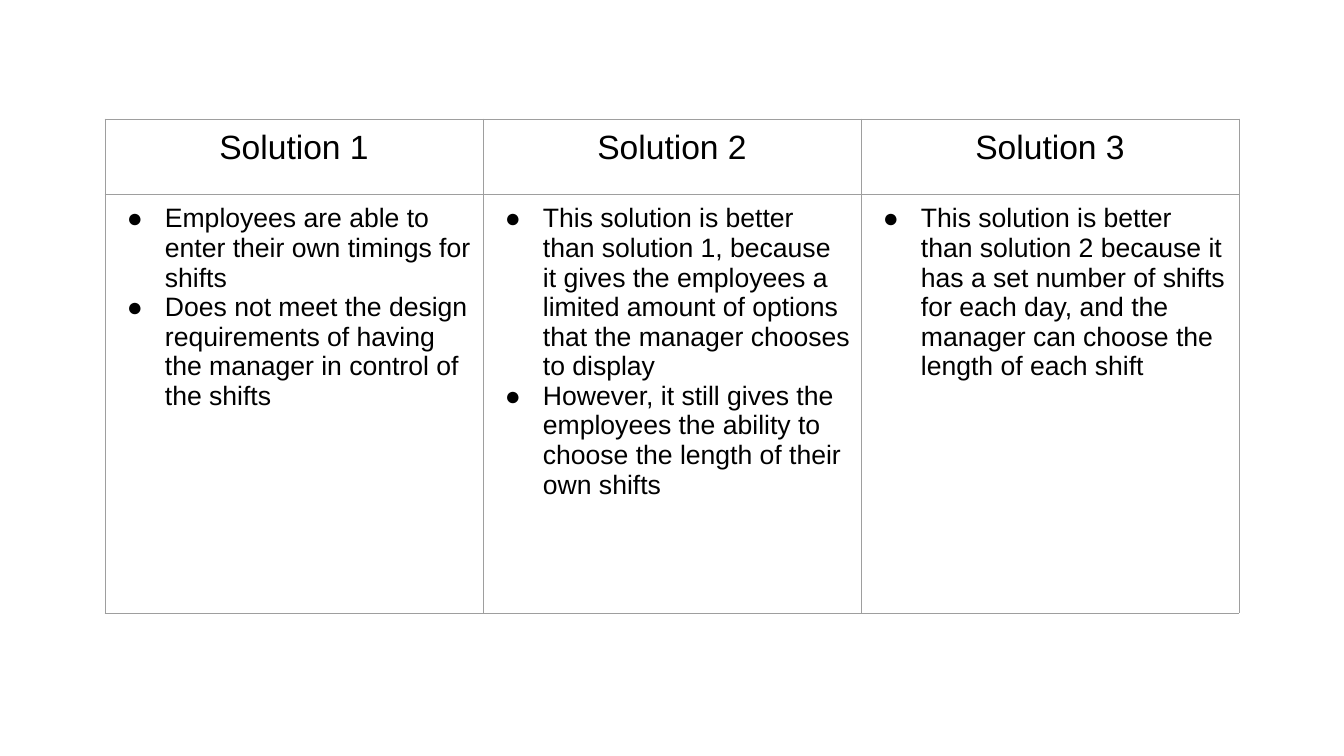
from lxml.etree import SubElement
from pptx import Presentation
from pptx.dml.color import RGBColor
from pptx.enum.shapes import MSO_SHAPE
from pptx.enum.text import PP_ALIGN
from pptx.oxml.ns import qn
from pptx.util import Pt

# Content: heading and bullets of each column
SOLUTIONS = [
    ("Solution 1", [
        "Employees are able to enter their own timings for shifts",
        "Does not meet the design requirements of having the manager in control of the shifts",
    ]),
    ("Solution 2", [
        "This solution is better than solution 1, because it gives the employees a limited "
        "amount of options that the manager chooses to display",
        "However, it still gives the employees the ability to choose the length of their own shifts",
    ]),
    ("Solution 3", [
        "This solution is better than solution 2 because it has a set number of shifts for each "
        "day, and the manager can choose the length of each shift",
    ]),
]

# Style
FONT = "Arial"
BLACK = RGBColor(0x00, 0x00, 0x00)
WHITE = RGBColor(0xFF, 0xFF, 0xFF)
GREY = RGBColor(0x9E, 0x9E, 0x9E)
HEAD_SIZE, BODY_SIZE = 24, 19

# Layout in px
SLIDE_W, SLIDE_H = 1344, 756
PANEL = (68, 95, 1208, 566)
TABLE_X, TABLE_Y = 105, 119
COL_W = 378
ROW_H = (75, 419)
CELL_PAD = 10
TEXT_INDENT, BULLET_HANG = 50, 38


def px(n):
    return round(n * 914400 / 100.8)


def add_run(p, text, size):
    r = p.add_run()
    r.text = text
    r.font.name = FONT
    r.font.size = Pt(size)
    r.font.color.rgb = BLACK


def add_bullet(p):
    pPr = p._p.get_or_add_pPr()
    pPr.set("marL", str(px(TEXT_INDENT)))
    pPr.set("indent", str(-px(BULLET_HANG)))
    color = SubElement(pPr, qn("a:buClr"))
    SubElement(color, qn("a:srgbClr"), val=str(BLACK))
    SubElement(pPr, qn("a:buSzPts"), val=str(BODY_SIZE * 100))
    SubElement(pPr, qn("a:buFont"), typeface=FONT)
    SubElement(pPr, qn("a:buChar"), char="●")


def style_cell(cell):
    cell.margin_left = cell.margin_right = px(CELL_PAD)
    cell.margin_top = cell.margin_bottom = px(CELL_PAD)
    tcPr = cell._tc.get_or_add_tcPr()
    for side in ("lnL", "lnR", "lnT", "lnB"):
        ln = SubElement(tcPr, qn(f"a:{side}"), w=str(Pt(0.75)))
        fill = SubElement(ln, qn("a:solidFill"))
        SubElement(fill, qn("a:srgbClr"), val=str(GREY))
    cell.fill.background()


prs = Presentation()
prs.slide_width, prs.slide_height = px(SLIDE_W), px(SLIDE_H)
s = prs.slides.add_slide(prs.slide_layouts[6])

# White panel
sp = s.shapes.add_shape(MSO_SHAPE.RECTANGLE, *map(px, PANEL))
sp.shadow.inherit = False
sp.fill.solid()
sp.fill.fore_color.rgb = WHITE
sp.line.color.rgb = WHITE
sp.line.width = Pt(0.75)

# Comparison table
frame = s.shapes.add_table(len(ROW_H), len(SOLUTIONS), px(TABLE_X), px(TABLE_Y),
                           px(COL_W * len(SOLUTIONS)), px(sum(ROW_H)))
table = frame.table
table.first_row = table.horz_banding = False
for row, height in zip(table.rows, ROW_H):
    row.height = px(height)

for col, (heading, points) in enumerate(SOLUTIONS):
    table.columns[col].width = px(COL_W)
    head, body = table.cell(0, col), table.cell(1, col)
    style_cell(head)
    style_cell(body)

    p = head.text_frame.paragraphs[0]
    p.alignment = PP_ALIGN.CENTER
    add_run(p, heading, HEAD_SIZE)

    tf = body.text_frame
    for i, point in enumerate(points):
        p = tf.add_paragraph() if i else tf.paragraphs[0]
        add_bullet(p)
        add_run(p, point, BODY_SIZE)

prs.save("out.pptx")
